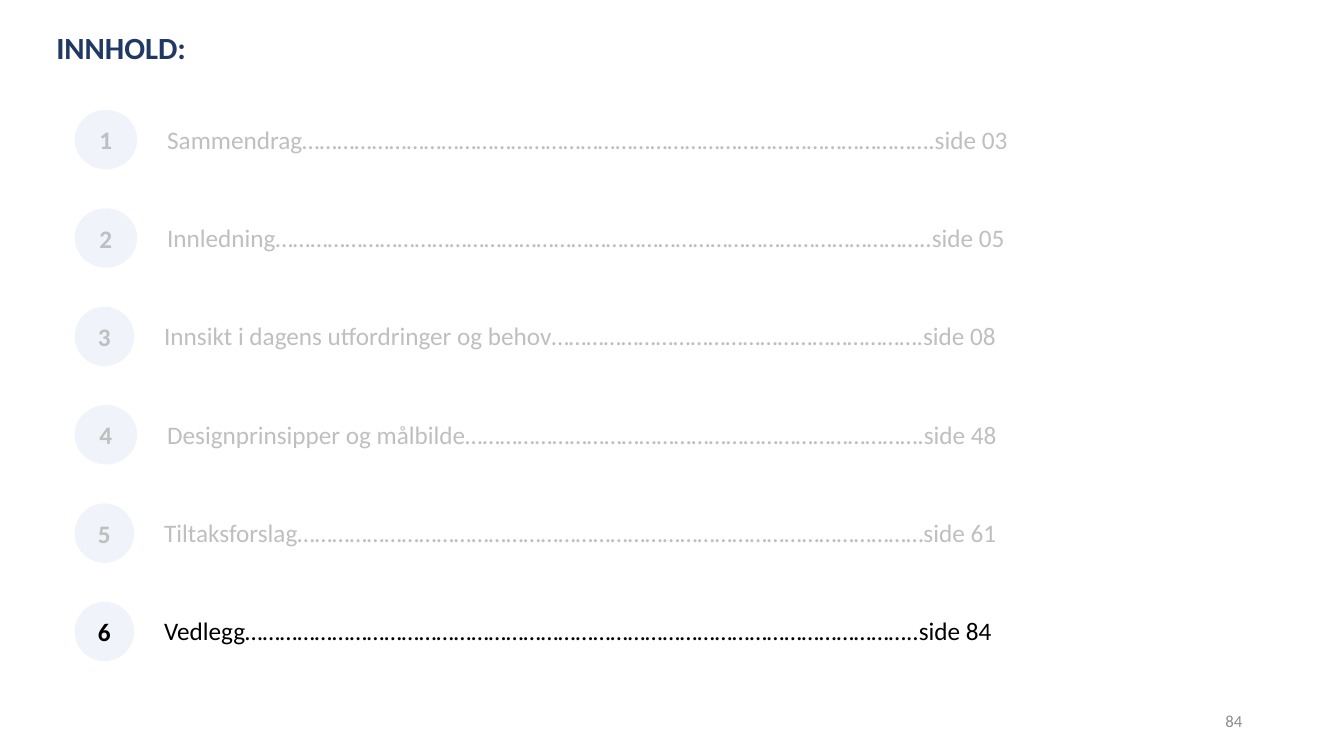
"""Build the contents slide with the appendix entry highlighted."""
from dataclasses import dataclass

from lxml.etree import SubElement
from pptx import Presentation
from pptx.dml.color import RGBColor
from pptx.enum.shapes import MSO_SHAPE
from pptx.enum.text import MSO_ANCHOR, MSO_AUTO_SIZE, PP_ALIGN
from pptx.oxml.ns import qn
from pptx.util import Inches, Pt

TITLE = "INNHOLD:"
PAGE = "84"
ACTIVE = 6
ENTRIES = [
    ("Sammendrag……………………………………………………………………………………………….side 03", 0.62, 8.79),
    ("Innledning…………………………………………………………………………………………………..side 05", 0.62, 8.91),
    ("Innsikt i dagens utfordringer og behov……………………………………………………….side 08", 0.59, 8.51),
    ("Designprinsipper og målbilde…………………………………………………………………….side 48", 0.62, 8.47),
    ("Tiltaksforslag………………………………………………………………………………………………side 61", 0.59, 8.51),
    ("Vedlegg……………………………………………………………………………………………………..side 84", 0.59, 8.51),
]
LEFT, TOP, LAST, HIGH, GAP = 0.74, 1.09, 5.97, 0.59, 0.2


@dataclass(frozen=True)
class Theme:
    font: str = "Calibri"
    title: str = "203864"
    muted: str = "BFBFBF"
    active: str = "000000"
    page: str = "8C8C8C"
    disc: str = "DAE3F3"
    alpha: int = 40
    head: int = 22
    body: int = 18
    small: int = 12


THEME = Theme()


def write(shape, text, size, color, bold=False, align=PP_ALIGN.LEFT, anchor=MSO_ANCHOR.TOP):
    frame = shape.text_frame
    frame.word_wrap = True
    frame.vertical_anchor = anchor
    para = frame.paragraphs[0]
    para.alignment = align
    run = para.add_run()
    run.text = text
    font = run.font
    font.name, font.size, font.bold = THEME.font, Pt(size), bold
    font.color.rgb = RGBColor.from_string(color)


def add_box(shapes, place, *args, **style):
    box = shapes.add_textbox(*map(Inches, place))
    write(box, *args, **style)
    return box


def add_disc(shapes, place, number, color):
    disc = shapes.add_shape(MSO_SHAPE.OVAL, *map(Inches, place))
    disc.shadow.inherit = False
    disc.line.fill.background()
    disc.fill.solid()
    disc.fill.fore_color.rgb = RGBColor.from_string(THEME.disc)
    tint = disc.fill._xPr.find(".//" + qn("a:srgbClr"))
    SubElement(tint, qn("a:alpha"), val=str(THEME.alpha * 1000))
    write(disc, str(number), THEME.body, color, bold=True,
          align=PP_ALIGN.CENTER, anchor=MSO_ANCHOR.MIDDLE)


def main():
    deck = Presentation()
    deck.slide_width, deck.slide_height = Inches(13.33), Inches(7.5)
    slide = deck.slides.add_slide(deck.slide_layouts[6])
    add_box(slide.shapes, (9.42, 6.95, 3, 0.4), PAGE, THEME.small, THEME.page,
            align=PP_ALIGN.RIGHT, anchor=MSO_ANCHOR.MIDDLE)
    add_box(slide.shapes, (0.46, 0.24, 12.72, 0.85), TITLE, THEME.head, THEME.title, bold=True)
    pitch = (LAST - TOP) / (len(ENTRIES) - 1)
    for number, (text, wide, span) in enumerate(ENTRIES, 1):
        top = TOP + (number - 1) * pitch
        color = THEME.active if number == ACTIVE else THEME.muted
        row = slide.shapes.add_group_shape().shapes
        add_disc(row, (LEFT, top, wide, HIGH), number, color)
        label = add_box(row, (LEFT + wide + GAP, top + 0.09, span, 0.4),
                        text, THEME.body, color)
        label.text_frame.auto_size = MSO_AUTO_SIZE.SHAPE_TO_FIT_TEXT
    deck.save("out.pptx")


if __name__ == "__main__":
    main()
